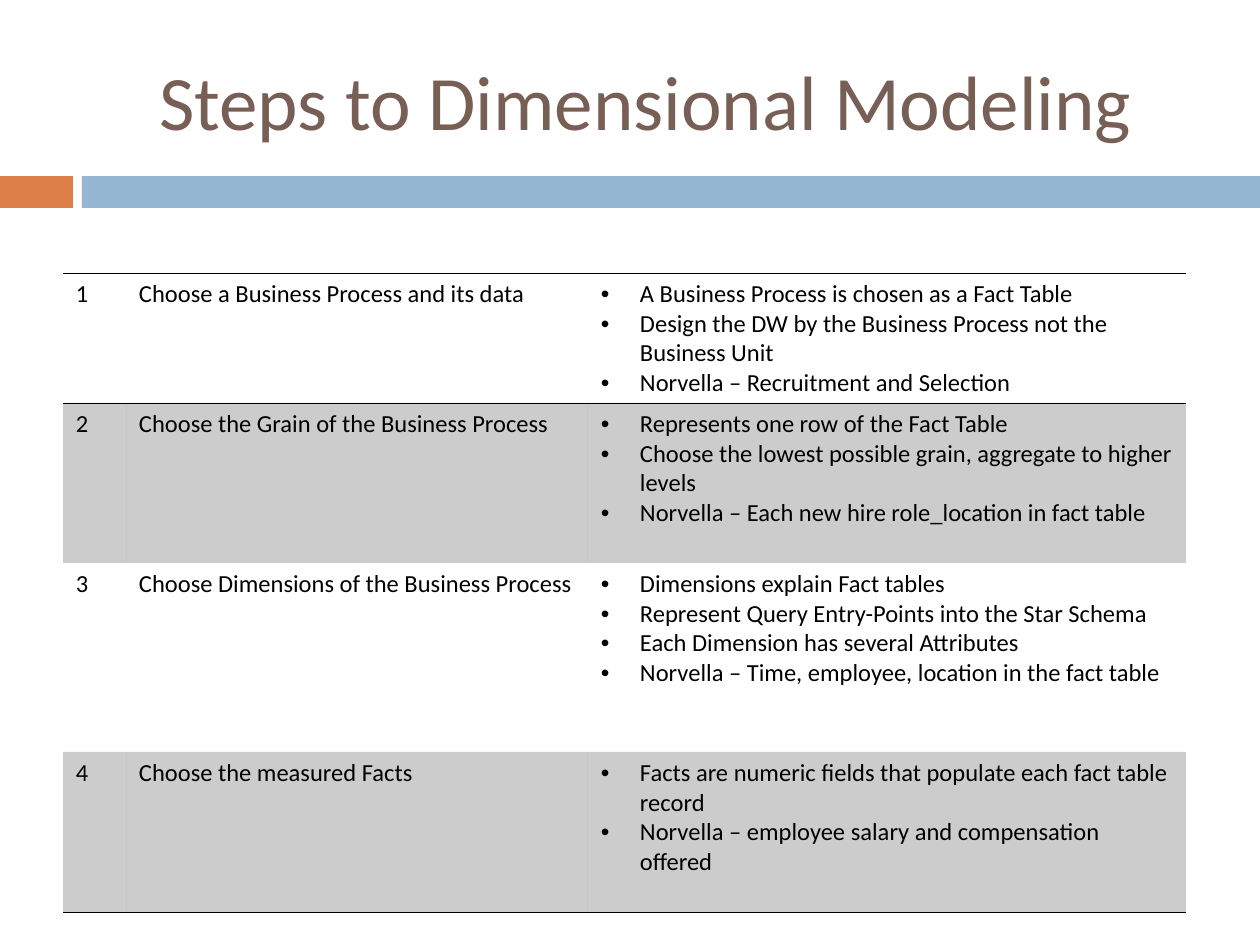
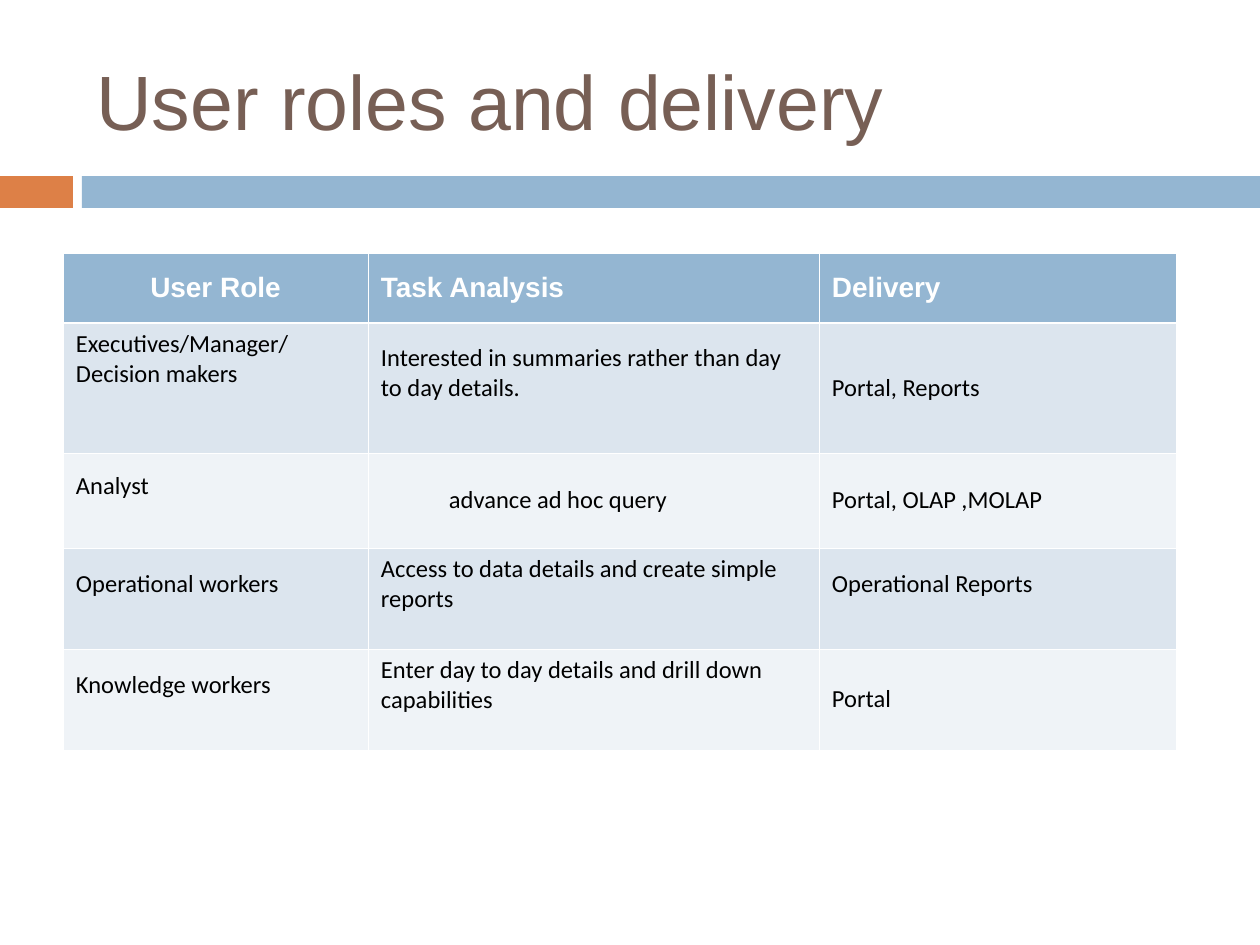
from dataclasses import dataclass

from lxml.etree import SubElement as sub
from pptx import Presentation
from pptx.dml.color import RGBColor as RGB
from pptx.enum.shapes import MSO_SHAPE as SHAPE
from pptx.enum.text import MSO_ANCHOR as ANCHOR, PP_ALIGN as ALIGN
from pptx.oxml.ns import qn
from pptx.util import Emu, Pt

PX = 914400 / 126


@dataclass(frozen=True)
class Theme:
    title: str = "775F55"
    accent: str = "DD8047"
    band: str = "94B6D2"
    ink: str = "000000"
    white: str = "FFFFFF"
    row_dark: str = "DCE5EE"
    row_light: str = "EFF3F7"
    title_size: int = 44
    head_size: int = 16
    body_size: int = 14
    body_font: str = "Calibri"
    head_font: str = "Arial"
    hairline: float = 0.45
    head_rule: float = 1.47


T = Theme()
INSET_X, INSET_Y, SPARE_LINE = 13, 6, 29
BULLET_INDENT, TASK_INDENT = 39, 68

STEPS = [
    ("Choose a Business Process and its data", [
        "A Business Process is chosen as a Fact Table",
        "Design the DW by the Business Process not the Business Unit",
        "Norvella – Recruitment and Selection"]),
    ("Choose the Grain of the Business Process", [
        "Represents one row of the Fact Table",
        "Choose the lowest possible grain, aggregate to higher levels",
        "Norvella – Each new hire role_location in fact table"]),
    ("Choose Dimensions of the Business Process", [
        "Dimensions explain Fact tables",
        "Represent Query Entry-Points into the Star Schema",
        "Each Dimension has several Attributes",
        "Norvella – Time, employee, location in the fact table"]),
    ("Choose the measured Facts", [
        "Facts are numeric fields that populate each fact table record",
        "Norvella – employee salary and compensation offered"]),
]

ROLE_HEADS = ["User Role", "Task Analysis", "Delivery"]
ROLES = [
    [("Executives/Manager/Decision makers", 2),
     ("Interested in summaries rather than day to day details.", 1),
     ("Portal, Reports", 0)],
    [("Analyst", 1), ("advance ad hoc query", 0), ("Portal, OLAP ,MOLAP", 0)],
    [("Operational workers", 1),
     ("Access to data details and create simple reports", 1),
     ("Operational Reports", 1)],
    [("Knowledge workers", 1),
     ("Enter day to day details and drill down capabilities", 1),
     ("Portal", 0)],
]


def px(n):
    return Emu(round(n * PX))


def write(p, text, size=T.body_size, font=T.body_font, color=T.ink,
          bold=False, align=ALIGN.LEFT, bullet=False, indent=0):
    pPr = p._p.get_or_add_pPr()
    if indent:
        pPr.set("marL", str(px(indent)))
    if bullet:
        pPr.set("indent", str(-px(indent)))
        sub(pPr, qn("a:buFont"), typeface="Arial")
        sub(pPr, qn("a:buChar"), char="•")
    p.alignment = align
    r = p.add_run()
    r.text = text
    r.font.size, r.font.name, r.font.bold = Pt(size), font, bold
    r.font.color.rgb = RGB.from_string(color)


def add_band(s, x, w, color):
    sp = s.shapes.add_shape(SHAPE.RECTANGLE, px(x), px(176), px(w), px(32))
    sp.shadow.inherit = False
    sp.fill.solid()
    sp.fill.fore_color.rgb = RGB.from_string(color)
    sp.line.fill.background()


def add_slide(prs, title, **fmt):
    s = prs.slides.add_slide(prs.slide_layouts[6])
    add_band(s, 0, 73, T.accent)
    add_band(s, 82, 1178, T.band)
    tf = s.shapes.add_textbox(px(84), px(32), px(1124), px(136)).text_frame
    tf.word_wrap = True
    tf.vertical_anchor = ANCHOR.MIDDLE
    write(tf.paragraphs[0], title, size=T.title_size, color=T.title, **fmt)
    return s


def add_table(s, y, cols, rows):
    tbl = s.shapes.add_table(len(rows), len(cols), px(63), px(y),
                             px(sum(cols)), px(sum(rows))).table
    tbl.first_row = tbl.horz_banding = False
    for col, w in zip(tbl.columns, cols):
        col.width = px(w)
    for row, h in zip(tbl.rows, rows):
        row.height = px(h)
    return tbl


def set_borders(cell, color, **widths):
    tcPr = cell._tc.get_or_add_tcPr()
    for side in "LRTB":
        width = widths.get(side, 0)
        ln = sub(tcPr, qn("a:ln" + side), w=str(Pt(width)))
        if width:
            sub(sub(ln, qn("a:solidFill")), qn("a:srgbClr"), val=color)
        else:
            sub(ln, qn("a:noFill"))


def set_fill(cell, color, alpha=100):
    cell.fill.solid()
    cell.fill.fore_color.rgb = RGB.from_string(color)
    if alpha < 100:
        clr = cell._tc.tcPr.find(qn("a:solidFill")).find(qn("a:srgbClr"))
        sub(clr, qn("a:alpha"), val=str(alpha * 1000))


def fill_cell(cell, lines, spare=0, anchor=ANCHOR.TOP, **fmt):
    cell.margin_left = cell.margin_right = px(INSET_X)
    cell.margin_top = px(INSET_Y)
    cell.margin_bottom = px(INSET_Y + spare * SPARE_LINE)
    cell.vertical_anchor = anchor
    tf = cell.text_frame
    for i, line in enumerate(lines):
        write(tf.add_paragraph() if i else tf.paragraphs[0], line, **fmt)


def steps_slide(prs):
    s = add_slide(prs, "Steps to Dimensional Modeling", align=ALIGN.CENTER)
    tbl = add_table(s, 273, [63, 462, 598], [130, 160, 189, 160])
    last = len(STEPS) - 1
    for i, (step, notes) in enumerate(STEPS):
        fill_cell(tbl.cell(i, 0), [str(i + 1)])
        fill_cell(tbl.cell(i, 1), [step])
        fill_cell(tbl.cell(i, 2), notes, bullet=True, indent=BULLET_INDENT)
        for j in range(3):
            cell = tbl.cell(i, j)
            set_borders(cell, T.ink, T=T.hairline if i in (0, 1) else 0,
                        B=T.hairline if i in (0, last) else 0)
            if i % 2:
                set_fill(cell, T.ink, alpha=20)
            else:
                cell.fill.background()


def roles_slide(prs):
    s = add_slide(prs, "User roles and delivery", font=T.head_font)
    tbl = add_table(s, 253, [305, 451, 357], [70, 130, 95, 101, 101])
    thin = T.hairline
    for j, head in enumerate(ROLE_HEADS):
        cell = tbl.cell(0, j)
        fill_cell(cell, [head], anchor=ANCHOR.MIDDLE, size=T.head_size,
                  font=T.head_font, color=T.white, bold=True,
                  align=ALIGN.LEFT if j else ALIGN.CENTER)
        set_borders(cell, T.white, L=thin, R=thin, T=thin, B=T.head_rule)
        set_fill(cell, T.band)
    for i, role in enumerate(ROLES, 1):
        for j, (text, spare) in enumerate(role):
            cell = tbl.cell(i, j)
            fill_cell(cell, [text], spare, ANCHOR.MIDDLE,
                      indent=TASK_INDENT if (i, j) == (2, 1) else 0)
            set_borders(cell, T.white, L=thin, R=thin, B=thin,
                        T=T.head_rule if i == 1 else thin)
            set_fill(cell, T.row_dark if i % 2 else T.row_light)


def main():
    prs = Presentation()
    prs.slide_width, prs.slide_height = px(1260), px(945)
    steps_slide(prs)
    roles_slide(prs)
    prs.save("out.pptx")


if __name__ == "__main__":
    main()
